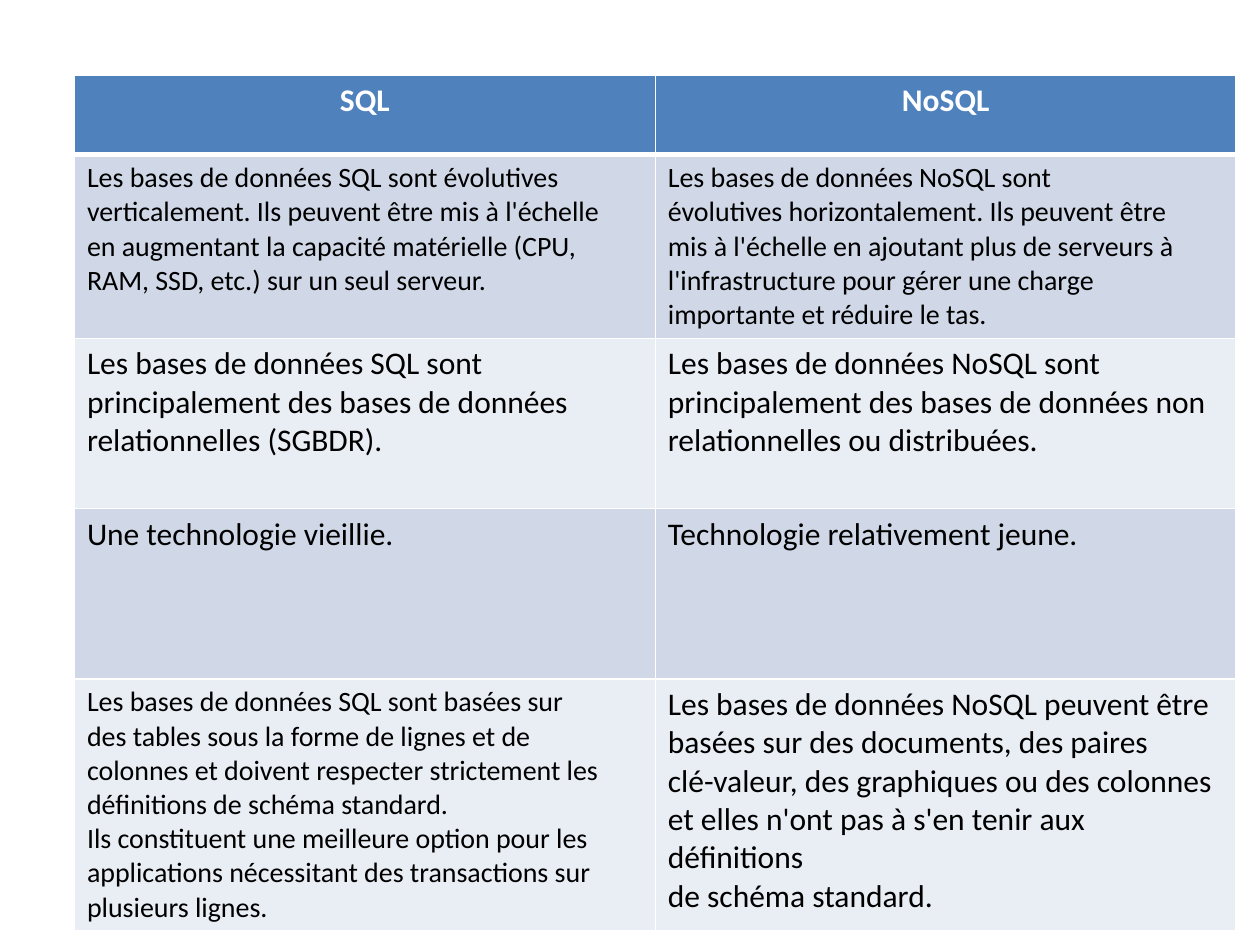
from lxml import etree
from pptx import Presentation
from pptx.dml.color import RGBColor
from pptx.enum.text import PP_ALIGN
from pptx.oxml.ns import qn
from pptx.util import Cm, Pt

HEADERS = ["SQL", "NoSQL"]
# Each cell: (text size in points, lines)
ROWS = [
    [(16, ["Les bases de données SQL sont évolutives",
           "verticalement. Ils peuvent être mis à l'échelle",
           "en augmentant la capacité matérielle (CPU,",
           "RAM, SSD, etc.) sur un seul serveur."]),
     (16, ["Les bases de données NoSQL sont",
           "évolutives horizontalement. Ils peuvent être",
           "mis à l'échelle en ajoutant plus de serveurs à",
           "l'infrastructure pour gérer une charge",
           "importante et réduire le tas."])],
    [(18, ["Les bases de données SQL sont",
           "principalement des bases de données",
           "relationnelles (SGBDR)."]),
     (18, ["Les bases de données NoSQL sont",
           "principalement des bases de données non",
           "relationnelles ou distribuées."])],
    [(18, ["Une technologie vieillie."]),
     (18, ["Technologie relativement jeune."])],
    [(16, ["Les bases de données SQL sont basées sur",
           "des tables sous la forme de lignes et de",
           "colonnes et doivent respecter strictement les",
           "définitions de schéma standard.",
           "Ils constituent une meilleure option pour les",
           "applications nécessitant des transactions sur",
           "plusieurs lignes."]),
     (18, ["Les bases de données NoSQL peuvent être",
           "basées sur des documents, des paires",
           "clé-valeur, des graphiques ou des colonnes",
           "et elles n'ont pas à s'en tenir aux définitions",
           "de schéma standard."])],
]
FONT = "Calibri"
WHITE, BLACK, HEADER_FILL = "FFFFFF", "000000", "4F81BD"
BAND_FILLS = ["D0D8E8", "E9EDF4"]
LEFT, TOP, COLUMN_WIDTH = Cm(1.5), Cm(1.52), Cm(11.71)
HEADER_HEIGHT, ROW_HEIGHT = Cm(1.6), Cm(3.43)


def color(hex_code):
    """Turn a hex string into a colour."""
    return RGBColor.from_string(hex_code)


def set_borders(cell, widths):
    """Draw white borders; widths are points for left, right, top, bottom."""
    properties = cell._tc.get_or_add_tcPr()
    for position, (side, width) in enumerate(zip("LRTB", widths)):
        line = etree.Element(qn(f"a:ln{side}"), w=str(Pt(width)))
        fill = etree.SubElement(line, qn("a:solidFill"))
        etree.SubElement(fill, qn("a:srgbClr"), val=WHITE)
        properties.insert(position, line)


def fill_cell(cell, lines, size, fill, text_color, header=False):
    """Write one paragraph per line and style the cell."""
    cell.fill.solid()
    cell.fill.fore_color.rgb = color(fill)
    cell.text = "\n".join(lines)
    for paragraph in cell.text_frame.paragraphs:
        paragraph.alignment = PP_ALIGN.CENTER if header else PP_ALIGN.LEFT
        font = paragraph.runs[0].font
        font.name, font.size, font.bold = FONT, Pt(size), header
        font.color.rgb = color(text_color)


def add_comparison(slide):
    """Add the table with its header and banded rows."""
    row_count, column_count = len(ROWS) + 1, len(HEADERS)
    frame = slide.shapes.add_table(
        row_count, column_count, LEFT, TOP, COLUMN_WIDTH * column_count,
        HEADER_HEIGHT + ROW_HEIGHT * len(ROWS))
    table = frame.table
    for column in table.columns:
        column.width = COLUMN_WIDTH
    for index, row in enumerate(table.rows):
        row.height = ROW_HEIGHT if index else HEADER_HEIGHT

    for c, title in enumerate(HEADERS):
        cell = table.cell(0, c)
        fill_cell(cell, [title], 18, HEADER_FILL, WHITE, header=True)
        set_borders(cell, (1, 1, 1, 3))
    for r, row in enumerate(ROWS):
        for c, (size, lines) in enumerate(row):
            cell = table.cell(r + 1, c)
            fill_cell(cell, lines, size, BAND_FILLS[r % 2], BLACK)
            set_borders(cell, (1, 1, 1 if r else 3, 1))


prs = Presentation()
prs.slide_width, prs.slide_height = Cm(25.4), Cm(19.05)
add_comparison(prs.slides.add_slide(prs.slide_layouts[6]))
prs.save("out.pptx")
